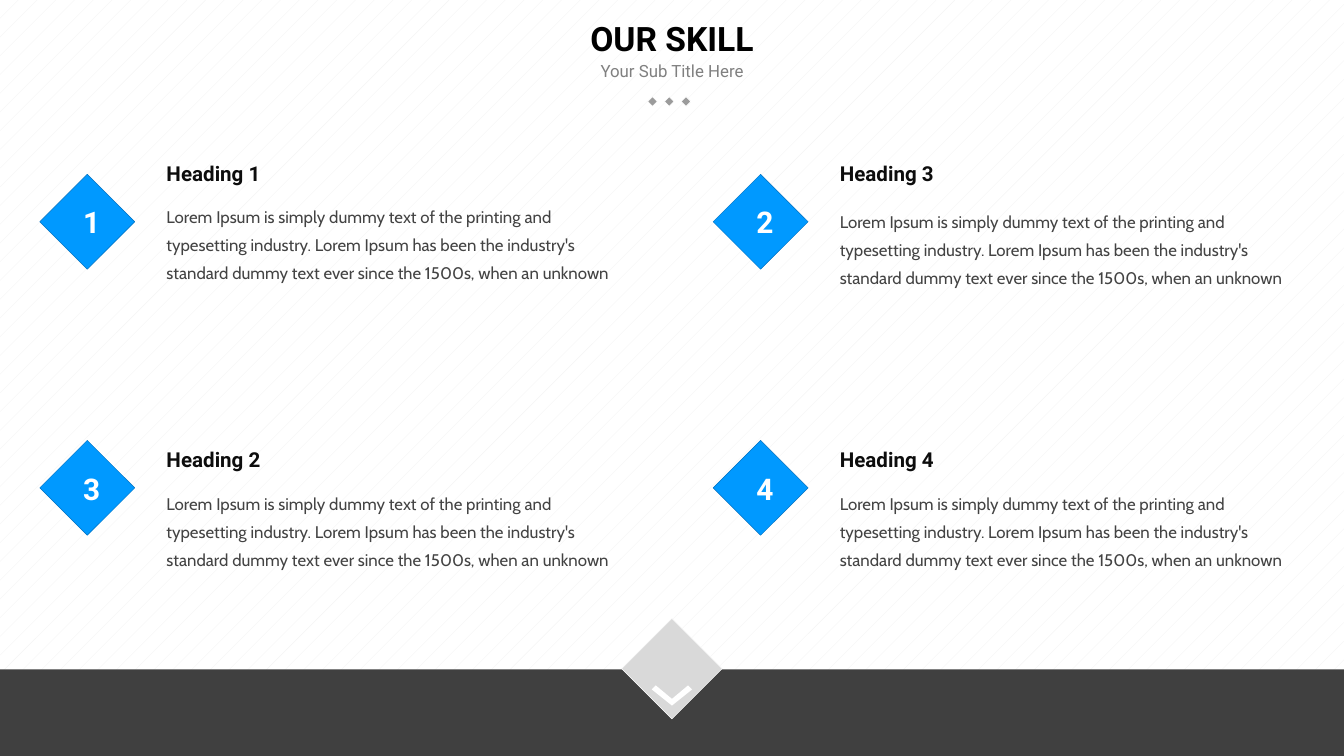
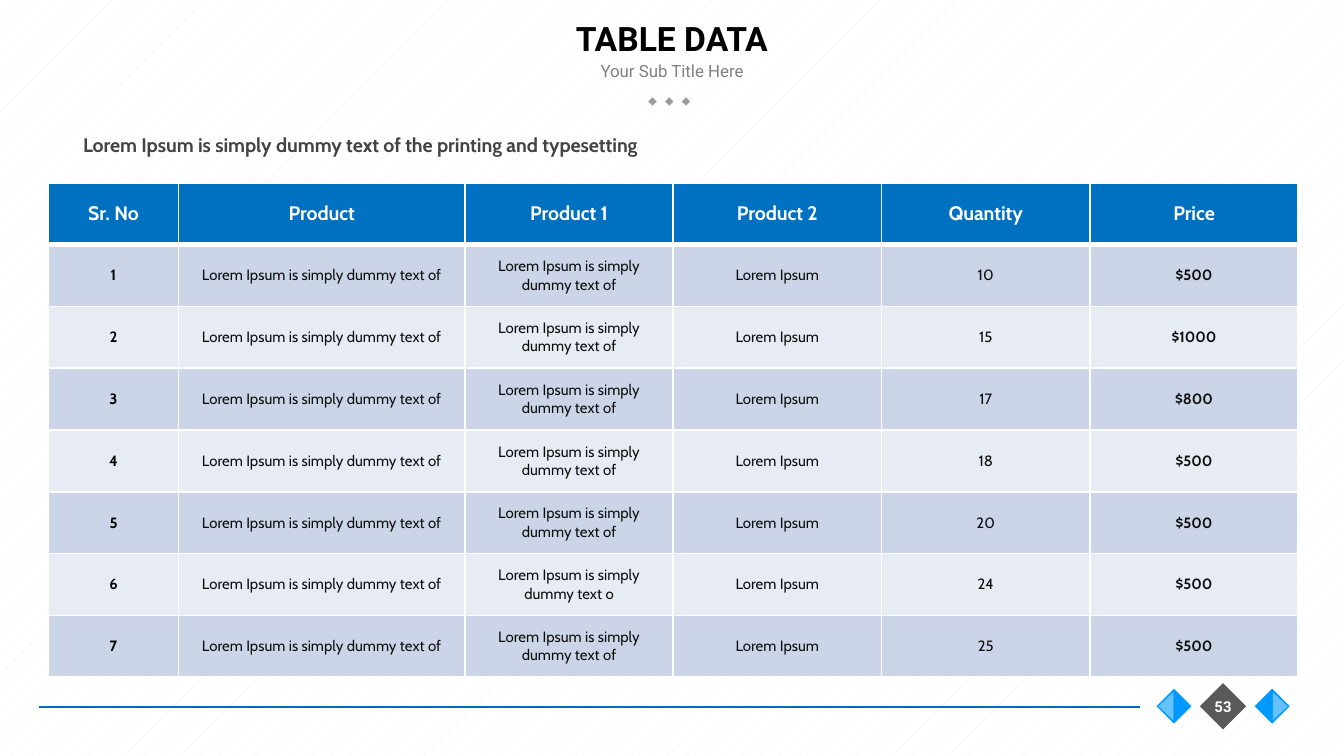
from lxml.etree import SubElement
from pptx import Presentation
from pptx.dml.color import RGBColor
from pptx.enum.dml import MSO_PATTERN
from pptx.enum.shapes import MSO_CONNECTOR, MSO_SHAPE
from pptx.enum.text import MSO_ANCHOR, MSO_AUTO_SIZE, PP_ALIGN
from pptx.oxml.ns import qn
from pptx.util import Inches, Pt

WHITE = RGBColor(0xFF, 0xFF, 0xFF)
BLACK = RGBColor(0x00, 0x00, 0x00)
INK = RGBColor(0x0D, 0x0D, 0x0D)
BODY = RGBColor(0x43, 0x43, 0x43)
SUBTITLE = RGBColor(0x80, 0x80, 0x80)
DOT = RGBColor(0x9B, 0x9B, 0x9B)
HATCH = RGBColor(0xF2, 0xF2, 0xF2)
BAND = RGBColor(0x40, 0x40, 0x40)
BADGE = RGBColor(0x59, 0x59, 0x59)
LIGHT_GREY = RGBColor(0xD9, 0xD9, 0xD9)
BLUE = RGBColor(0x00, 0x99, 0xFF)
LIGHT_BLUE = RGBColor(0x66, 0xC2, 0xFF)
DEEP_BLUE = RGBColor(0x00, 0x70, 0xC0)
RULE_BLUE = RGBColor(0x00, 0x6E, 0xBC)
ROW_DARK = RGBColor(0xCC, 0xD5, 0xE8)
ROW_LIGHT = RGBColor(0xE7, 0xEB, 0xF4)

HEAD_FONT = "Roboto"
BODY_FONT = "Cabin"
PHRASE = "Lorem Ipsum is simply dummy text of"
LOREM = (PHRASE + " the printing and typesetting industry. Lorem Ipsum has been "
         "the industry's standard dummy text ever since the 1500s, when an unknown")


class Deck:
    def __init__(self):
        self.prs = Presentation()
        self.prs.slide_width = Inches(10)
        self.prs.slide_height = Inches(5.625)
        self.s = None

    def new_slide(self, title):
        self.s = self.prs.slides.add_slide(self.prs.slide_layouts[6])
        fill = self.s.background.fill
        fill.patterned()
        fill.pattern = MSO_PATTERN.PERCENT_5
        fill.fore_color.rgb = HATCH
        fill.back_color.rgb = WHITE
        for i in range(3):
            self.diamond(4.855 + 0.125 * i, 0.755, 0.05, DOT)
        self.text("Your Sub Title Here", 3.75, 0.4, 2.5, 0.25, 9, SUBTITLE,
                  align=PP_ALIGN.CENTER, anchor=MSO_ANCHOR.MIDDLE)
        self.text(title, 0.75, 0, 8.5, 0.56, 18, BLACK, bold=True,
                  align=PP_ALIGN.CENTER, anchor=MSO_ANCHOR.MIDDLE)

    def paint(self, sp, fill, line=None):
        sp.shadow.inherit = False
        sp.fill.solid()
        sp.fill.fore_color.rgb = fill
        if line is None:
            sp.line.fill.background()
        else:
            sp.line.color.rgb = line
            sp.line.width = Pt(0.25)

    def shape(self, kind, x, y, w, h, fill, line=None, rotation=0):
        sp = self.s.shapes.add_shape(kind, Inches(x), Inches(y), Inches(w), Inches(h))
        sp.rotation = rotation
        self.paint(sp, fill, line)

    def diamond(self, cx, cy, side, fill, line=WHITE):
        self.shape(MSO_SHAPE.RECTANGLE, cx - side / 2, cy - side / 2, side, side,
                   fill, line, 315)

    def outline(self, points, fill):
        pts = [(Inches(x), Inches(y)) for x, y in points]
        builder = self.s.shapes.build_freeform(*pts[0])
        builder.add_line_segments(pts[1:])
        self.paint(builder.convert_to_shape(), fill)

    def line(self, x1, y1, x2, y2, color, width):
        c = self.s.shapes.add_connector(MSO_CONNECTOR.STRAIGHT, Inches(x1), Inches(y1),
                                        Inches(x2), Inches(y2))
        c.line.color.rgb = color
        c.line.width = Pt(width)
        SubElement(c._element.spPr, qn("a:effectLst"))

    def style(self, p, size, color, font, bold, align):
        p.alignment = align
        for r in p.runs:
            r.font.name = font
            r.font.size = Pt(size)
            r.font.bold = bold
            r.font.color.rgb = color

    def text(self, text, x, y, w, h, size, color, font=HEAD_FONT, bold=False,
             align=PP_ALIGN.LEFT, anchor=MSO_ANCHOR.TOP, spacing=None,
             grow=False, wrap=True):
        tf = self.s.shapes.add_textbox(Inches(x), Inches(y), Inches(w), Inches(h)).text_frame
        tf.word_wrap = wrap
        tf.vertical_anchor = anchor
        if grow:
            tf.auto_size = MSO_AUTO_SIZE.SHAPE_TO_FIT_TEXT
        tf.text = text
        p = tf.paragraphs[0]
        if spacing:
            p.line_spacing = Pt(spacing)
        self.style(p, size, color, font, bold, align)

    def cell(self, cell, text, size, color, bold, fill, bottom):
        cell.text = text
        cell.vertical_anchor = MSO_ANCHOR.MIDDLE
        self.style(cell.text_frame.paragraphs[0], size, color, BODY_FONT, bold, PP_ALIGN.CENTER)
        tc_pr = cell._tc.get_or_add_tcPr()
        for side, width in (("L", 1), ("R", 1), ("T", 1), ("B", bottom)):
            ln = SubElement(tc_pr, qn("a:ln" + side), w=str(Pt(width)))
            SubElement(SubElement(ln, qn("a:solidFill")), qn("a:srgbClr"), val=str(WHITE))
        cell.fill.solid()
        cell.fill.fore_color.rgb = fill

    def table(self, rows, x, y, widths, row_height):
        table = self.s.shapes.add_table(len(rows), len(widths), Inches(x), Inches(y),
                                        Inches(sum(widths)),
                                        Inches(row_height * len(rows))).table
        for col, width in zip(table.columns, widths):
            col.width = Inches(width)
        for i, row in enumerate(rows):
            table.rows[i].height = Inches(row_height)
            for j, value in enumerate(row):
                if i == 0:
                    look = (10.5, WHITE, True, DEEP_BLUE, 3)
                else:
                    look = (8, INK if j else BLACK, j in (0, len(row) - 1),
                            ROW_DARK if i % 2 else ROW_LIGHT, 1)
                self.cell(table.cell(i, j), value, *look)

    def page_footer(self, number):
        self.line(0.29, 5.26, 8.48, 5.26, RULE_BLUE, 0.75)
        self.diamond(9.1, 5.255, 0.25, BADGE)
        for cx, offset, rotation in ((9.465, 0.06, 90), (8.735, -0.06, 270)):
            self.diamond(cx, 5.255, 0.19, BLUE)
            self.shape(MSO_SHAPE.FLOWCHART_EXTRACT, cx + offset - 0.105, 5.2, 0.21, 0.11,
                       LIGHT_BLUE, rotation=rotation)
        self.text(number, 8.89, 5.13, 0.42, 0.25, 8, WHITE, bold=True,
                  align=PP_ALIGN.CENTER, anchor=MSO_ANCHOR.MIDDLE)

    def skill(self, number, heading, x, diamond_y, heading_y, body_y):
        self.diamond(x + 0.25, diamond_y + 0.25, 0.5, BLUE, DEEP_BLUE)
        self.text(number, x + 0.12, diamond_y + 0.07, 0.27, 0.37, 16, WHITE, bold=True,
                  align=PP_ALIGN.CENTER, grow=True, wrap=False)
        self.text(heading, x + 0.74, heading_y, 2.25, 0.29, 11, INK, bold=True, grow=True)
        self.text(LOREM, x + 0.74, body_y, 3.58, 0.73, 9, BODY, BODY_FONT,
                  spacing=15, grow=True)


def skill_slide(deck):
    deck.new_slide("OUR SKILL")
    left, right = 0.4, 5.41
    deck.skill("1", "Heading 1", left, 1.4, 1.15, 1.43)
    deck.skill("2", "Heading 3", right, 1.4, 1.15, 1.47)
    deck.skill("3", "Heading 2", left, 3.38, 3.28, 3.57)
    deck.skill("4", "Heading 4", right, 3.38, 3.28, 3.57)
    deck.shape(MSO_SHAPE.RECTANGLE, 0, 4.98, 10, 0.65, BAND)
    deck.diamond(5, 4.975, 0.53, LIGHT_GREY)
    deck.outline([(5.12, 5.1), (5, 5.2), (4.88, 5.1), (4.85, 5.13), (5, 5.25), (5.15, 5.13)],
                 WHITE)


def table_slide(deck):
    deck.new_slide("TABLE DATA")
    deck.page_footer("53")
    deck.text(PHRASE + " the printing and typesetting", 0.52, 0.91, 5.43, 0.31, 10.5,
              BODY, BODY_FONT, bold=True, spacing=15, grow=True)
    orders = [("10", "$500"), ("15", "$1000"), ("17", "$800"), ("18", "$500"),
              ("20", "$500"), ("24", "$500"), ("25", "$500")]
    rows = [["Sr. No", "Product", "Product 1", "Product 2", "Quantity", "Price"]]
    for n, (quantity, price) in enumerate(orders, 1):
        rows.append([str(n), PHRASE, PHRASE, "Lorem Ipsum", quantity, price])
    rows[6][2] = "Lorem Ipsum is simply dummy text o"
    deck.table(rows, 0.36, 1.36, [0.97, 2.13] + [1.55] * 4, 0.46)


def main():
    deck = Deck()
    skill_slide(deck)
    table_slide(deck)
    deck.prs.save("out.pptx")


if __name__ == "__main__":
    main()
